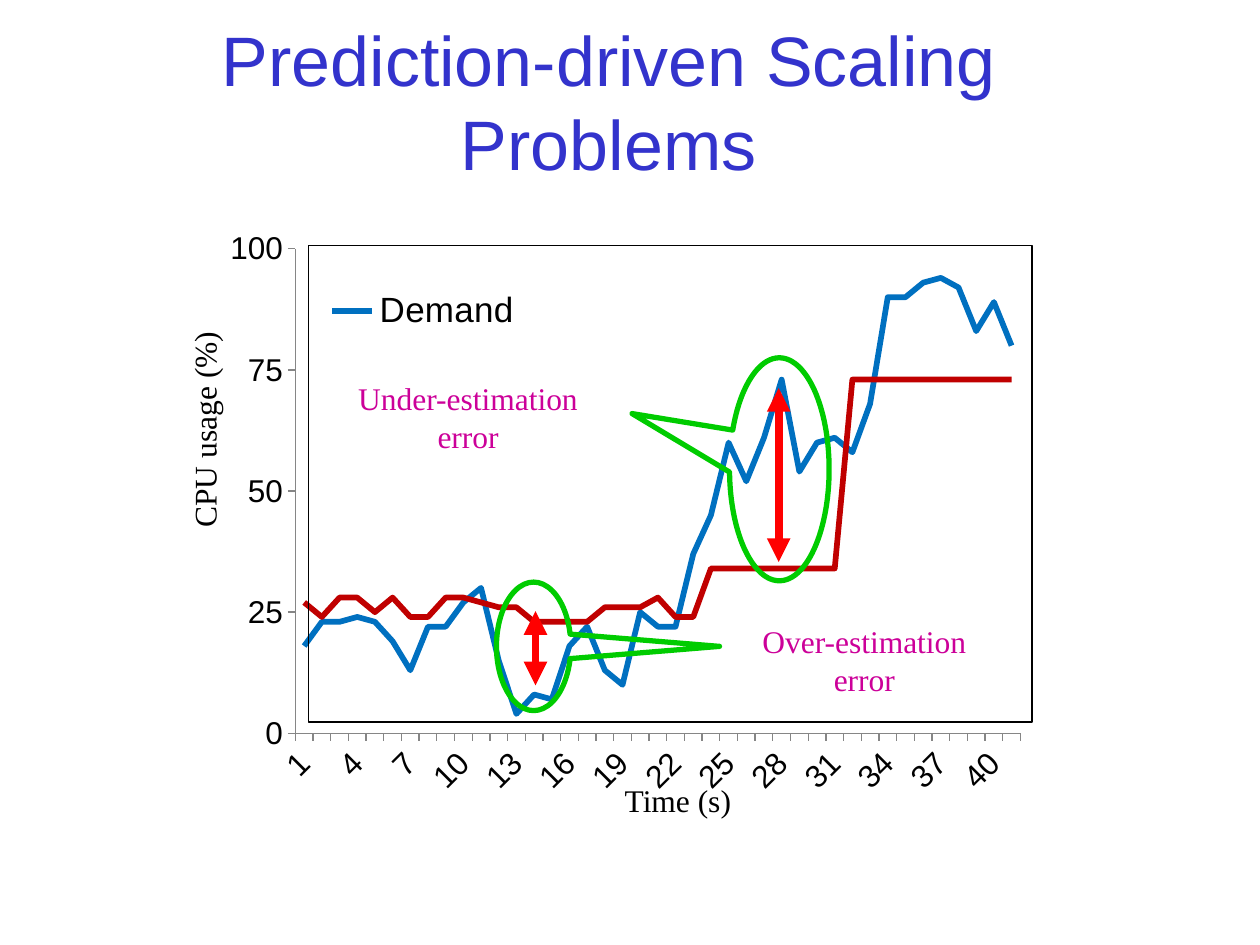
from dataclasses import dataclass

from lxml import etree
from pptx import Presentation
from pptx.chart.data import CategoryChartData
from pptx.dml.color import RGBColor
from pptx.enum.chart import XL_CHART_TYPE, XL_LEGEND_POSITION, XL_TICK_MARK
from pptx.enum.shapes import MSO_CONNECTOR, MSO_SHAPE
from pptx.enum.text import MSO_ANCHOR, MSO_AUTO_SIZE, PP_ALIGN
from pptx.oxml import parse_xml
from pptx.oxml.ns import nsdecls, qn
from pptx.util import Emu, Pt

PX = 9144  # 100 px to the inch


@dataclass(frozen=True)
class Theme:
    sans: str = "Arial"
    serif: str = "Times New Roman"
    title: str = "3333CC"
    text: str = "000000"
    note: str = "CC0099"
    arrow: str = "FF0000"
    callout: str = "00CC00"
    axis: str = "868686"
    demand: str = "0070C0"
    prediction: str = "C00000"
    title_size: int = 40
    legend_size: int = 20
    label_size: int = 18


THEME = Theme()

DEMAND = [18, 23, 23, 24, 23, 19, 13, 22, 22, 27, 30, 15, 4, 8, 7, 18, 22, 13, 10, 25, 22,
          22, 37, 45, 60, 52, 61, 73, 54, 60, 61, 58, 68, 90, 90, 93, 94, 92, 83, 89, 80]
PREDICTION = [27, 24, 28, 28, 25, 28, 24, 24, 28, 28, 27, 26, 26, 23, 23, 23, 23, 26, 26, 26,
              28, 24, 24] + [34] * 8 + [73] * 10


def px(*lengths):
    return [Emu(length * PX) for length in lengths]


def style_font(font, name, size, color):
    values = {"name": name, "size": Pt(size), "bold": False}
    for attribute, value in values.items():
        setattr(font, attribute, value)
    font.color.rgb = RGBColor.from_string(color)


def style_line(line, color, width):
    line.color.rgb = RGBColor.from_string(color)
    line.width = Pt(width)


def place(shape, box):
    for attribute, value in zip(("left", "top", "width", "height"), px(*box)):
        setattr(shape, attribute, value)


def add_title(slide, box, text):
    title = slide.shapes.title
    place(title, box)
    frame = title.text_frame
    frame.text = text
    frame.word_wrap = True
    frame.vertical_anchor = MSO_ANCHOR.MIDDLE
    paragraph = frame.paragraphs[0]
    paragraph.alignment = PP_ALIGN.CENTER
    style_font(paragraph.font, THEME.sans, THEME.title_size, THEME.title)


def add_label(slide, box, lines, color, wrap=True, vertical=False):
    frame = slide.shapes.add_textbox(*px(*box)).text_frame
    frame.word_wrap = wrap
    frame.auto_size = MSO_AUTO_SIZE.SHAPE_TO_FIT_TEXT
    frame.text = "\n".join(lines)
    if vertical:
        frame._txBody.bodyPr.set("vert", "vert270")
    for paragraph in frame.paragraphs:
        paragraph.alignment = PP_ALIGN.CENTER
        style_font(paragraph.font, THEME.serif, THEME.label_size, color)


def manual_layout(inner=False, **fractions):
    """Return a c:layout that pins a chart part to fractions of the chart."""
    target = '<c:layoutTarget val="inner"/>' if inner else ""
    modes = "".join(f'<c:{axis}Mode val="edge"/>' for axis in "xy")
    sizes = "".join(f'<c:{name} val="{value}"/>' for name, value in fractions.items())
    return parse_xml(f'<c:layout {nsdecls("c")}><c:manualLayout>{target}{modes}{sizes}'
                     '</c:manualLayout></c:layout>')


def style_axis(axis):
    axis.has_major_gridlines = False
    axis.major_tick_mark = XL_TICK_MARK.OUTSIDE
    axis.minor_tick_mark = XL_TICK_MARK.NONE
    style_line(axis.format.line, THEME.axis, 0.75)
    style_font(axis.tick_labels.font, THEME.sans, THEME.label_size, THEME.text)


def style_legend(chart):
    """Show the demand entry only, at the upper left of the plot."""
    chart.has_legend = True
    legend = chart.legend
    legend.position = XL_LEGEND_POSITION.RIGHT
    legend.include_in_layout = False
    style_font(legend.font, THEME.sans, THEME.legend_size, THEME.text)
    element = legend._element
    for old in element.findall(qn("c:layout")):
        element.remove(old)
    hidden = parse_xml(f'<c:legendEntry {nsdecls("c")}><c:idx val="1"/>'
                       '<c:delete val="1"/></c:legendEntry>')
    position = element.find(qn("c:legendPos"))
    position.addnext(hidden)
    hidden.addnext(manual_layout(x=0.13, y=0.11, w=0.25, h=0.09))
    element.find(qn("c:overlay")).set("val", "1")


def add_usage_chart(slide, box):
    data = CategoryChartData()
    data.categories = [str(second) for second in range(1, len(DEMAND) + 1)]
    data.add_series("Demand", DEMAND)
    data.add_series("Prediction", PREDICTION)
    chart = slide.shapes.add_chart(XL_CHART_TYPE.LINE, *px(*box), data).chart
    chart.has_title = False
    style_font(chart.font, THEME.sans, 10, THEME.text)

    plot = chart.plots[0]
    plot.vary_by_categories = False
    for series, color in zip(plot.series, (THEME.demand, THEME.prediction)):
        series.smooth = False
        style_line(series.format.line, color, 3.25)

    for axis in (chart.category_axis, chart.value_axis):
        style_axis(axis)
    values = {"minimum_scale": 0, "maximum_scale": 100, "major_unit": 25}
    for attribute, value in values.items():
        setattr(chart.value_axis, attribute, value)
    category = chart.category_axis._element
    category.find(qn("c:txPr")).find(qn("a:bodyPr")).set("rot", "-2700000")
    no_multi_level = category.find(qn("c:noMultiLvlLbl"))
    for tag, step in (("c:tickLblSkip", "3"), ("c:tickMarkSkip", "1")):
        skip = etree.Element(qn(tag), val=step)
        no_multi_level.addprevious(skip)

    area = chart._chartSpace.chart.plotArea
    for old in area.findall(qn("c:layout")):
        area.remove(old)
    area.insert(0, manual_layout(inner=True, x=0.1, y=0.05, w=0.88, h=0.82))
    style_legend(chart)


def add_error_arrow(slide, x, top, bottom):
    arrow = slide.shapes.add_connector(MSO_CONNECTOR.STRAIGHT, *px(x, top, x, bottom))
    style_line(arrow.line, THEME.arrow, 4.5)
    line = arrow.line._get_or_add_ln()
    for end in ("a:headEnd", "a:tailEnd"):
        etree.SubElement(line, qn(end), type="triangle")
    etree.SubElement(arrow._element.spPr, qn("a:effectLst"))


def add_outline(slide, kind, box, color, width, adjustments=()):
    shape = slide.shapes.add_shape(kind, *px(*box))
    shape.shadow.inherit = False
    shape.fill.background()
    style_line(shape.line, color, width)
    for index, value in enumerate(adjustments):
        shape.adjustments[index] = value


def add_usage_figure(slide, box):
    left, top, width, height = box

    def inside(x, y, *size):
        return (left + x, top + y, *size)

    add_usage_chart(slide, inside(27, 0, 654, 469))
    add_label(slide, inside(330, 441, 132, 55), ["Time (s)"], THEME.text, wrap=False)
    add_label(slide, inside(0, 48, 60, 238), ["CPU usage (%)"], THEME.text,
              wrap=False, vertical=True)
    add_error_arrow(slide, left + 476, top + 134, top + 272)
    add_label(slide, inside(102, 122, 255, 91), ["Under-estimation", "error"], THEME.note)
    add_error_arrow(slide, left + 283, top + 311, top + 370)
    add_label(slide, inside(425, 315, 238, 91), ["Over-estimation", "error"], THEME.note)
    add_outline(slide, MSO_SHAPE.RECTANGLE, inside(103, 21, 574, 378), THEME.text, 0.75)
    callouts = [((437, 110, 79, 177), (-1.48, -0.25)), ((252, 288, 59, 102), (2.5, 0))]
    for callout_box, pointer in callouts:
        add_outline(slide, MSO_SHAPE.OVAL_CALLOUT, inside(*callout_box),
                    THEME.callout, 3, pointer)


def main():
    presentation = Presentation()
    presentation.slide_width, presentation.slide_height = px(1000, 750)
    slide = presentation.slides.add_slide(presentation.slide_layouts[5])
    add_title(slide, (58, 17, 850, 125), "Prediction-driven Scaling Problems")
    add_usage_figure(slide, (142, 174, 681, 496))
    presentation.save("out.pptx")


if __name__ == "__main__":
    main()
